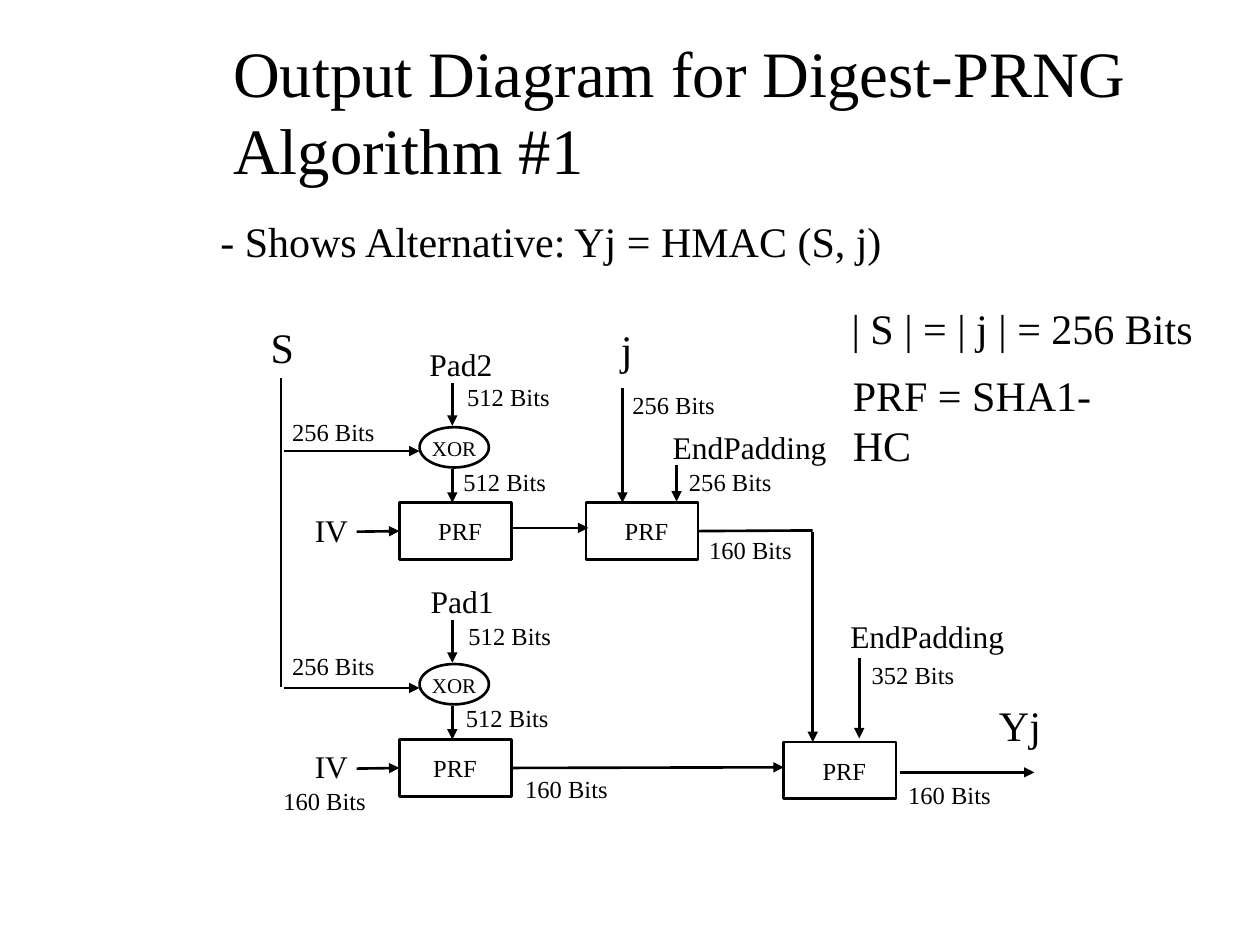
from dataclasses import dataclass

from pptx import Presentation
from pptx.dml.color import RGBColor
from pptx.enum.shapes import MSO_CONNECTOR, MSO_SHAPE
from pptx.enum.text import MSO_ANCHOR, MSO_AUTO_SIZE, PP_ALIGN
from pptx.oxml.ns import qn
from pptx.util import Emu, Pt
from lxml import etree

STRAIGHT = MSO_CONNECTOR.STRAIGHT
RECTANGLE = MSO_SHAPE.RECTANGLE
OVAL = MSO_SHAPE.OVAL
MIDDLE = MSO_ANCHOR.MIDDLE
NO_FIT = MSO_AUTO_SIZE.NONE
LEFT_ALIGN = PP_ALIGN.LEFT
LEFT, RIGHT = 1, 3
EMU_PER_PX = 9144
TITLE_ONLY = 5


@dataclass(frozen=True)
class Theme:
    ink: RGBColor = RGBColor(0, 0, 0)
    paper: RGBColor = RGBColor(255, 255, 255)
    font: str = "Times New Roman"
    title: int = 37
    heading: int = 24
    name: int = 18
    label: int = 14
    gate: int = 12
    line: float = 1.5


def px(value):
    return Emu(value * EMU_PER_PX)


class Diagram:
    def __init__(self, page, theme):
        self.page = page
        self.theme = theme
        page.background.fill.solid()
        page.background.fill.fore_color.rgb = theme.paper

    def add_span(self, frame, text, size):
        para = frame.paragraphs[0]
        para.alignment = LEFT_ALIGN
        span = para.add_run()
        span.text = text
        span.font.name = self.theme.font
        span.font.size = Pt(size)
        span.font.color.rgb = self.theme.ink

    def title(self, text, left, top, width, height):
        box = self.page.shapes.title
        box.left, box.top, box.width, box.height = map(px, (left, top, width, height))
        frame = box.text_frame
        frame.auto_size = NO_FIT
        frame.vertical_anchor = MIDDLE
        self.add_span(frame, text, self.theme.title)

    def text(self, text, size, left, top, width, height, wrap=True):
        box = self.page.shapes.add_textbox(*map(px, (left, top, width, height)))
        box.text_frame.word_wrap = wrap
        self.add_span(box.text_frame, text, size)

    def outline(self, kind, left, top, width, height):
        shape = self.page.shapes.add_shape(kind, *map(px, (left, top, width, height)))
        shape.shadow.inherit = False
        shape.fill.background()
        shape.line.color.rgb = self.theme.ink
        shape.line.width = Pt(self.theme.line)
        return shape

    def block(self, left, top):
        return self.outline(RECTANGLE, left, top, 89, 45)

    def gate(self, left, top):
        self.outline(OVAL, left, top, 55, 32)
        self.text("XOR", self.theme.gate, left, top + 2, 55, 30)

    def line(self, x1, y1, x2, y2, arrow=True, source=None, target=None):
        link = self.page.shapes.add_connector(STRAIGHT, *map(px, (x1, y1, x2, y2)))
        link.line.color.rgb = self.theme.ink
        link.line.width = Pt(self.theme.line)
        properties = link._element.spPr
        if arrow:
            etree.SubElement(properties.find(qn("a:ln")), qn("a:tailEnd"), type="triangle")
        etree.SubElement(properties, qn("a:effectLst"))
        if source is not None:
            link.begin_connect(source, RIGHT)
        if target is not None:
            link.end_connect(target, LEFT)


def main():
    deck = Presentation()
    deck.slide_width, deck.slide_height = px(1000), px(750)
    page = deck.slides.add_slide(deck.slide_layouts[TITLE_ONLY])
    theme = Theme()
    diagram = Diagram(page, theme)

    diagram.title("Output Diagram for Digest-PRNG Algorithm #1", 175, 25, 775, 125)

    headings = [
        ("- Shows Alternative: Yj = HMAC (S, j)", 165, 166, 548),
        ("S", 205, 250, 38),
        ("j", 483, 252, 29),
        ("Yj", 783, 550, 53),
        ("| S | = | j | = 256 Bits", 666, 235, 291),
        ("PRF = SHA1-HC", 667, 288, 255),
    ]
    for text, left, top, width in headings:
        diagram.text(text, theme.heading, left, top, width, 50, wrap=False)

    stage_blocks = []
    for offset in (0, 188):
        block = diagram.block(317, 399 + offset)
        stage_blocks.append(block)
        diagram.gate(333, 339 + offset)
        diagram.line(225, 358 + offset, 333, 358 + offset)
        diagram.line(359, 304 + offset, 359, 338 + offset)
        diagram.line(359, 372 + offset, 359, 399 + offset)
        diagram.line(283, 422 + offset, 317, 422 + offset, target=block)
    lower_block = stage_blocks[1]

    counter_block = diagram.block(465, 399)
    diagram.block(622, 589)

    diagram.line(223, 300, 223, 545, arrow=False)
    diagram.line(407, 419, 467, 419)
    diagram.line(407, 609, 622, 609, source=lower_block)
    diagram.line(494, 308, 494, 399)
    diagram.line(537, 369, 537, 398)
    diagram.line(556, 421, 645, 421, arrow=False, source=counter_block)
    diagram.line(645, 422, 645, 589)
    diagram.line(682, 522, 682, 586)
    diagram.line(714, 613, 821, 613)

    names = [
        ("IV", 240, 401, 54),
        ("IV", 240, 588, 54),
        ("Pad2", 331, 269, 80),
        ("Pad1", 332, 457, 80),
        ("EndPadding", 524, 335, 148),
        ("EndPadding", 665, 485, 148),
    ]
    for text, left, top, width in names:
        diagram.text(text, theme.name, left, top, width, 40)

    labels = {
        "PRF": [(338, 405), (334, 593), (486, 405), (643, 595)],
        "256 Bits": [(222, 326), (222, 512), (492, 305), (537, 366)],
        "512 Bits": [(361, 298), (362, 488), (358, 366), (360, 553)],
        "160 Bits": [(553, 420), (711, 614), (407, 609), (215, 619)],
        "352 Bits": [(682, 519)],
    }
    for text, places in labels.items():
        for left, top in places:
            diagram.text(text, theme.label, left, top, 90, 34)

    deck.save("out.pptx")


if __name__ == "__main__":
    main()
